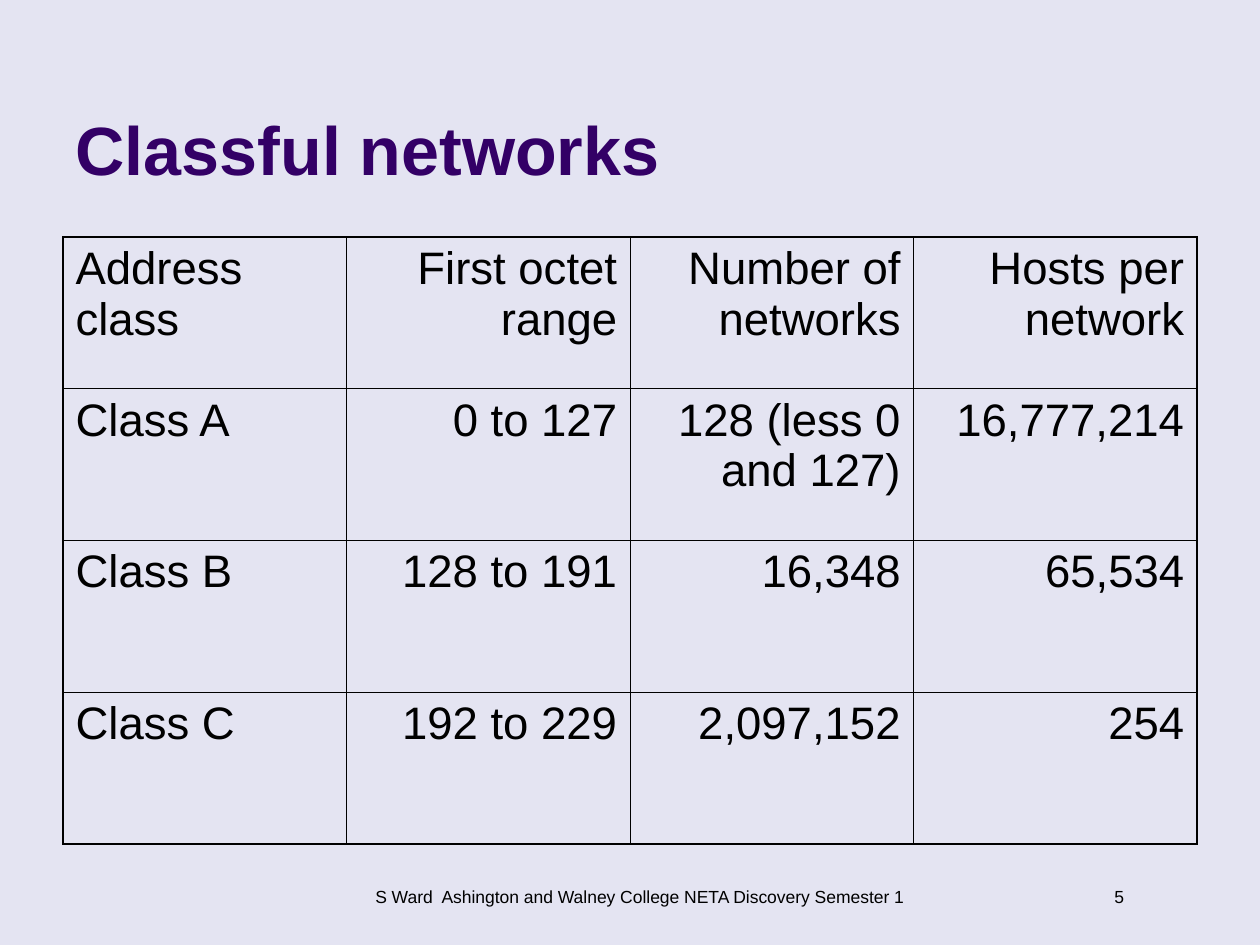
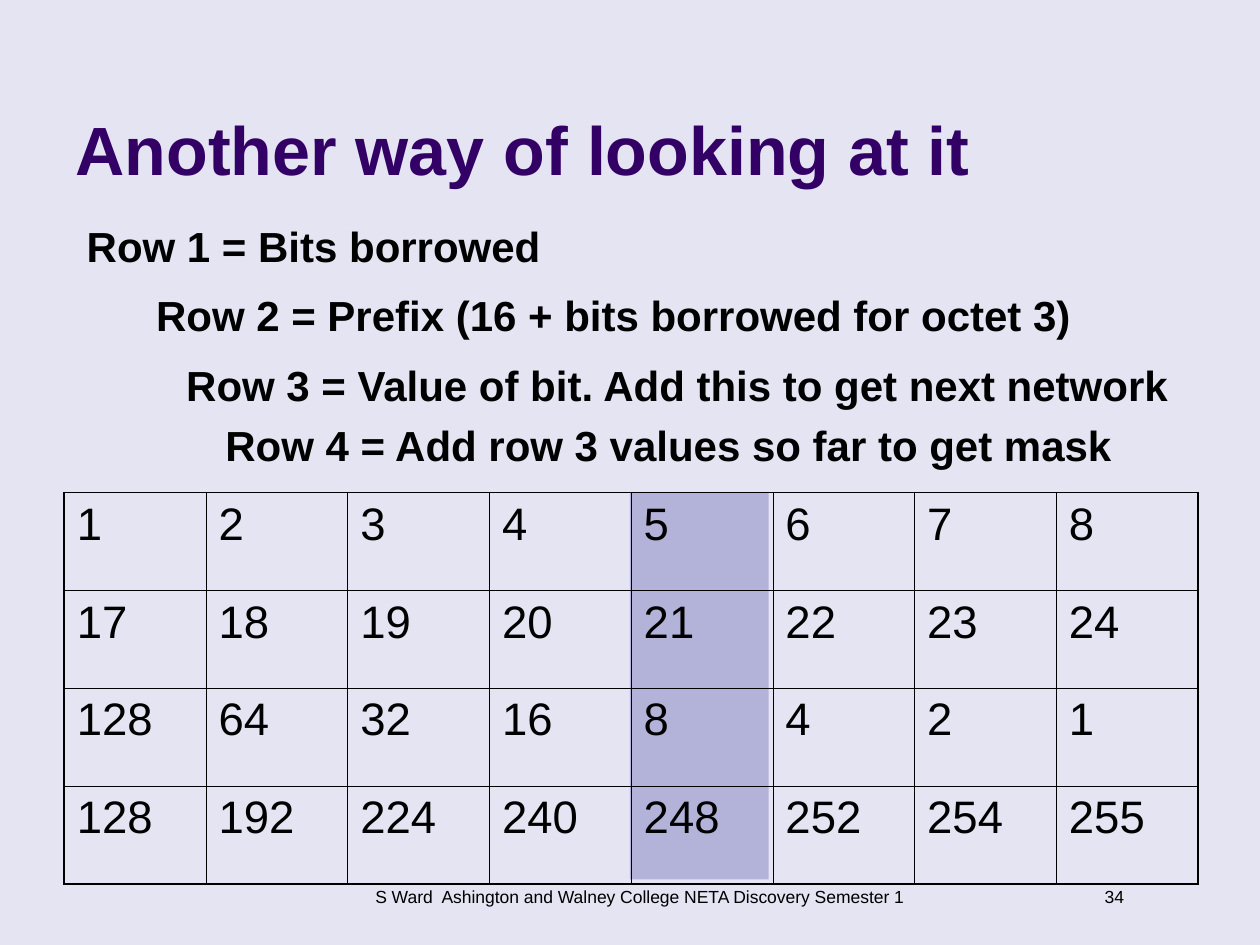
from dataclasses import dataclass

from lxml.etree import SubElement
from pptx import Presentation
from pptx.dml.color import RGBColor
from pptx.enum.shapes import MSO_SHAPE
from pptx.enum.text import MSO_ANCHOR, PP_ALIGN
from pptx.oxml.ns import qn
from pptx.util import Inches, Pt

GRID_COLUMNS, GRID_ROWS = 20, 30
SLIDE_WIDTH, SLIDE_HEIGHT = Inches(10), Inches(7.5)
CREDIT = "S Ward  Ashington and Walney College NETA Discovery Semester 1"


@dataclass(frozen=True)
class Theme:
    """Colours, font, type sizes and rule widths of the deck."""
    background: str = "E4E4F2"
    heading: str = "330066"
    ink: str = "000000"
    highlight: str = "B3B3D9"
    font: str = "Arial"
    heading_size: float = 39
    table_size: float = 26
    note_size: float = 24
    footer_size: float = 10
    outer_rule: float = 1.08
    inner_rule: float = 0.45


THEME = Theme()


def area(left, top, width, height):
    """Turn grid columns and rows into slide lengths."""
    column, row = SLIDE_WIDTH / GRID_COLUMNS, SLIDE_HEIGHT / GRID_ROWS
    return [round(v) for v in (left * column, top * row, width * column, height * row)]


def write(frame, text, size, color=THEME.ink, bold=False, align=PP_ALIGN.LEFT):
    """Fill a text frame with one formatted paragraph."""
    paragraph = frame.paragraphs[0]
    paragraph.alignment = align
    run = paragraph.add_run()
    run.text = text
    run.font.name = THEME.font
    run.font.size = Pt(size)
    run.font.bold = bold
    run.font.color.rgb = RGBColor.from_string(color)


def add_label(slide, place, text, size, **style):
    """Add a wrapping text box."""
    frame = slide.shapes.add_textbox(*area(*place)).text_frame
    frame.word_wrap = True
    write(frame, text, size, **style)


def add_highlight(slide, place):
    """Add a plain tinted block."""
    block = slide.shapes.add_shape(MSO_SHAPE.RECTANGLE, *area(*place))
    block.shadow.inherit = False
    block.fill.solid()
    block.fill.fore_color.rgb = RGBColor.from_string(THEME.highlight)
    block.line.fill.background()


def rule_cell(cell, outer_sides):
    """Draw the four borders of a cell, heavier on the table's edge."""
    properties = cell._tc.get_or_add_tcPr()
    for side in "LRTB":
        width = THEME.outer_rule if side in outer_sides else THEME.inner_rule
        border = SubElement(properties, qn(f"a:ln{side}"), w=str(Pt(width)))
        fill = SubElement(border, qn("a:solidFill"))
        SubElement(fill, qn("a:srgbClr"), val=THEME.ink)


def add_grid_table(slide, place, rows, value_align=PP_ALIGN.LEFT):
    """Add a ruled, unfilled table with equal columns and rows."""
    last_row, last_column = len(rows) - 1, len(rows[0]) - 1
    table = slide.shapes.add_table(last_row + 1, last_column + 1, *area(*place)).table
    table.first_row = table.horz_banding = False
    for r, values in enumerate(rows):
        for c, value in enumerate(values):
            cell = table.cell(r, c)
            edges = {"L": c == 0, "R": c == last_column, "T": r == 0, "B": r == last_row}
            rule_cell(cell, [side for side, on_edge in edges.items() if on_edge])
            cell.fill.background()
            write(cell.text_frame, str(value), THEME.table_size,
                  align=value_align if c else PP_ALIGN.LEFT)


def prepare_layout(deck):
    """Set the shared background and title place; return the layout."""
    fill = deck.slide_master.background.fill
    fill.solid()
    fill.fore_color.rgb = RGBColor.from_string(THEME.background)
    layout = deck.slide_layouts.get_by_name("Title Only")
    title = layout.placeholders[0]
    title.left, title.top, title.width, title.height = area(1, 0.52, 16.5, 5.68)
    title.text_frame.vertical_anchor = MSO_ANCHOR.BOTTOM
    return layout


def add_lesson_slide(deck, layout, heading, number):
    """Add a slide with its title, credit line and page number."""
    slide = deck.slides.add_slide(layout)
    write(slide.shapes.title.text_frame, heading, THEME.heading_size,
          color=THEME.heading, bold=True)
    add_label(slide, (16.78, 27.92, 1.26, 1.08), str(number), THEME.footer_size,
              align=PP_ALIGN.RIGHT)
    add_label(slide, (4.8, 27.92, 10.7, 1.24), CREDIT, THEME.footer_size,
              align=PP_ALIGN.CENTER)
    return slide


def add_classful_networks(deck, layout):
    """Build the slide on address classes."""
    slide = add_lesson_slide(deck, layout, "Classful networks", 5)
    classes = [
        ("Address class", "First octet range", "Number of networks", "Hosts per network"),
        ("Class A", "0 to 127", "128 (less 0 and 127)", "16,777,214"),
        ("Class B", "128 to 191", "16,348", "65,534"),
        ("Class C", "192 to 229", "2,097,152", "254"),
    ]
    add_grid_table(slide, (1, 7.52, 18, 19.28), classes, value_align=PP_ALIGN.RIGHT)


def add_borrowed_bits(deck, layout):
    """Build the slide on borrowed bits, prefixes and masks."""
    slide = add_lesson_slide(deck, layout, "Another way of looking at it", 34)
    add_highlight(slide, (10, 15.64, 2.2, 12.28))
    bits = range(1, 9)
    bit_rows = [
        bits,
        [16 + bit for bit in bits],
        [2 ** (8 - bit) for bit in bits],
        [256 - 2 ** (8 - bit) for bit in bits],
    ]
    add_grid_table(slide, (1.02, 15.64, 18, 12.44), bit_rows)
    row_notes = [
        (1.18, 6.8, 10.08, "Bits borrowed"),
        (2.28, 9, 15.9, "Prefix (16 + bits borrowed for octet 3)"),
        (2.76, 11.22, 16.54, "Value of bit. Add this to get next network"),
        (3.38, 13.12, 15.04, "Add row 3 values so far to get mask"),
    ]
    for row, (left, top, width, meaning) in enumerate(row_notes, 1):
        add_label(slide, (left, top, width, 2), f"Row {row} = {meaning}",
                  THEME.note_size, bold=True)


def main():
    """Build and save the deck."""
    deck = Presentation()
    deck.slide_width, deck.slide_height = SLIDE_WIDTH, SLIDE_HEIGHT
    layout = prepare_layout(deck)
    add_classful_networks(deck, layout)
    add_borrowed_bits(deck, layout)
    deck.save("out.pptx")


if __name__ == "__main__":
    main()
